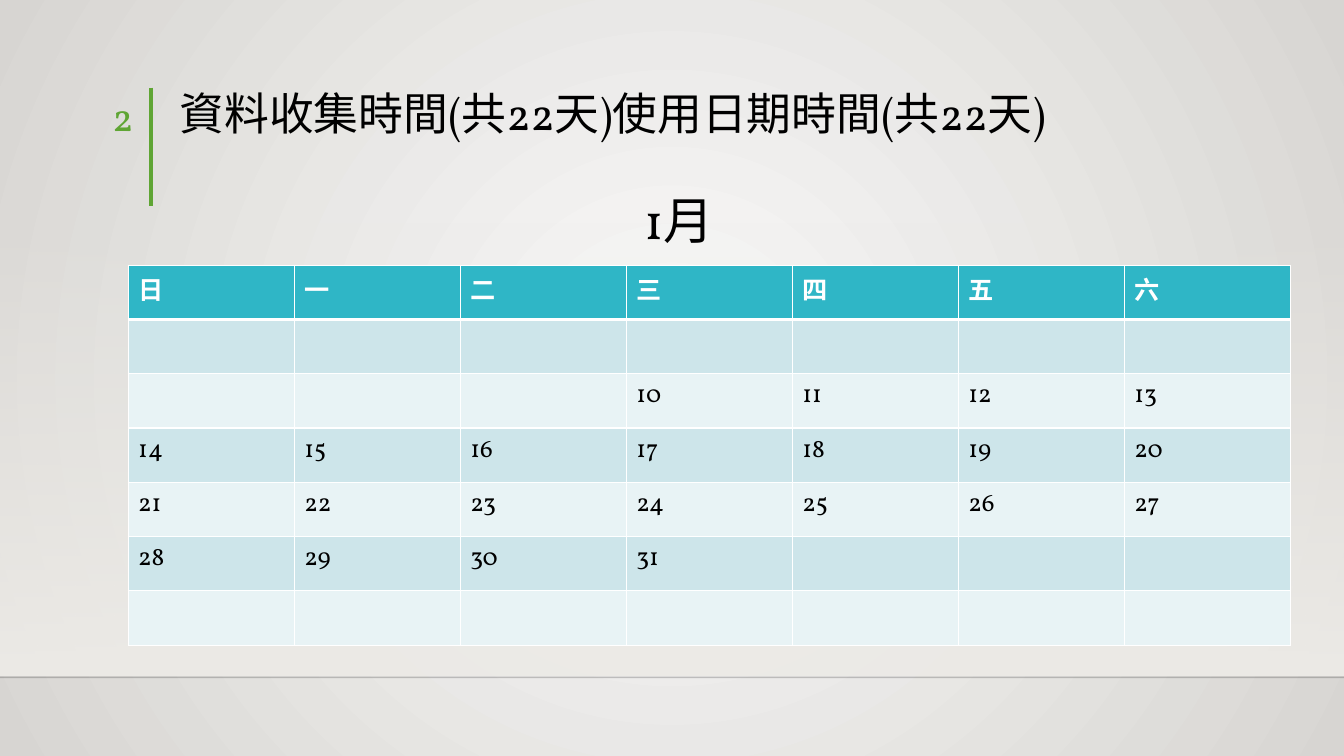
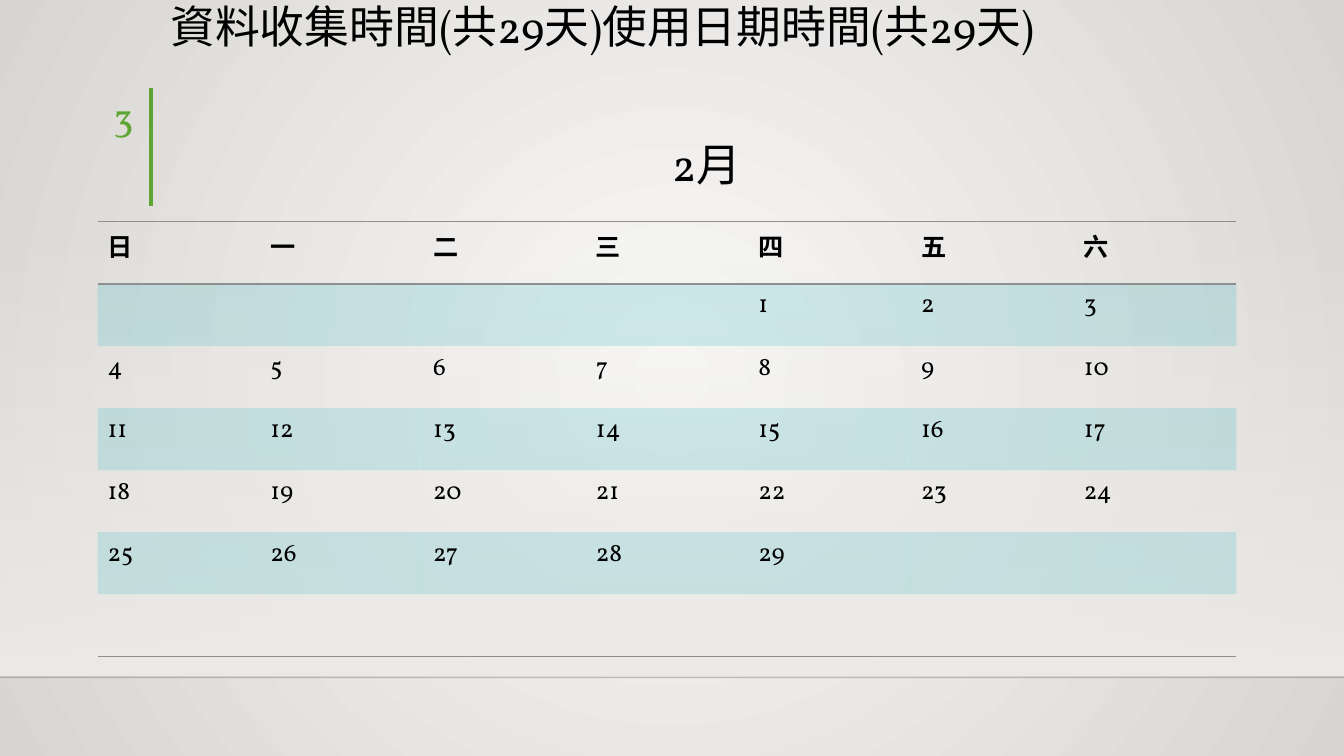
import dataclasses

import pptx
import pptx.dml.color
import pptx.enum.shapes
import pptx.enum.text
import pptx.oxml
import pptx.oxml.ns
import pptx.util

ALIGN = pptx.enum.text.PP_ALIGN
DAYS = "日一二三四五六"
ROWS = 7
BARE = "{2D5ABB26-0587-4C30-8999-92F81FD0307C}"


@dataclasses.dataclass(frozen=True)
class Theme:
    font: str = "Vollkorn"
    ink: str = "000000"
    white: str = "FFFFFF"
    green: str = "5FA534"
    teal: str = "2FB6C6"
    pale: str = "CDE5EA"
    faint: str = "E8F3F5"
    grey: str = "8F8F8F"
    glow: str = "FAFAF9"
    rim: str = "D7D5D2"
    sand: str = "EDEBE7"
    rule: str = "000001"
    title: int = 32
    number: int = 28
    body: int = 18


THEME = Theme()


@dataclasses.dataclass(frozen=True)
class Grid:
    box: tuple
    head: str
    bands: tuple
    ink: str
    line: str
    edges: dict
    alpha: int = 100


FULL = Grid((3.23, 6.68, 29.29, 9.58), THEME.teal, (THEME.pale, THEME.faint),
            THEME.white, THEME.white,
            {"head": {"L": 1, "R": 1, "T": 1, "B": 3},
             "first": {"L": 1, "R": 1, "T": 3, "B": 1},
             "mid": {"L": 1, "R": 1, "T": 1, "B": 1},
             "last": {"L": 1, "R": 1, "T": 1, "B": 1}})
OPEN = Grid((2.46, 5.59, 28.7, 10.95), None, (THEME.teal, None),
            THEME.ink, THEME.grey,
            {"head": {"T": 1, "B": 1}, "first": {"T": 1},
             "mid": {}, "last": {"B": 1}}, 20)


def place(*sizes):
    return [pptx.util.Cm(size) for size in sizes]


def tint(hue):
    return pptx.dml.color.RGBColor.from_string(hue)


def tag(name, inner="", **attrs):
    pairs = "".join(f' {key}="{value}"' for key, value in attrs.items())
    return f'<a:{name} {pptx.oxml.ns.nsdecls("a")}{pairs}>{inner}</a:{name}>'


def paint(hue, alpha=100):
    inner = "" if alpha == 100 else tag("alpha", val=alpha * 1000)
    return tag("srgbClr", inner, val=hue)


def fade(holder, stops, shade):
    inner = "".join(tag("gs", paint(hue, alpha), pos=spot * 1000)
                    for spot, hue, alpha in stops)
    node = pptx.oxml.parse_xml(
        tag("gradFill", tag("gsLst", inner) + shade, rotWithShape=1))
    holder.replace(holder.find(pptx.oxml.ns.qn("a:solidFill")), node)


def thin(holder, alpha):
    for hue in holder.iter(pptx.oxml.ns.qn("a:srgbClr")):
        hue.append(pptx.oxml.parse_xml(tag("alpha", val=alpha * 1000)))


def write(frame, text, size=THEME.body, hue=THEME.ink, bold=False,
          align=ALIGN.LEFT, space=None):
    para = frame.paragraphs[0]
    para.alignment = align
    para.line_spacing = space
    run = para.add_run()
    run.text = text
    run.font.name = THEME.font
    run.font.size = pptx.util.Pt(size)
    run.font.bold = bold
    run.font.color.rgb = tint(hue)


def label(slide, text, box, **style):
    frame = slide.shapes.add_textbox(*place(*box)).text_frame
    frame.word_wrap = True
    write(frame, text, **style)


def head(slide, text, left, top):
    title = slide.shapes.title
    title.left, title.top, title.width, title.height = place(
        left, top, 26.44, 2.92)
    frame = title.text_frame
    frame.auto_size = pptx.enum.text.MSO_AUTO_SIZE.NONE
    frame.vertical_anchor = pptx.enum.text.MSO_ANCHOR.TOP
    frame.margin_top = pptx.util.Cm(0.08)
    write(frame, text, size=THEME.title, space=0.9)


def stroke(slide, ends, hue, width, alpha=100):
    line = slide.shapes.add_connector(
        pptx.enum.shapes.MSO_CONNECTOR.STRAIGHT, *place(*ends))
    line.line.color.rgb = tint(hue)
    line.line.width = pptx.util.Pt(width)
    props = line.element.spPr
    if alpha < 100:
        thin(props, alpha)
    props.append(pptx.oxml.parse_xml(tag("effectLst")))
    return line


def floor(slide):
    band = slide.shapes.add_shape(pptx.enum.shapes.MSO_SHAPE.RECTANGLE,
                                  *place(0, 5.59, 33.87, 11.43))
    band.shadow.inherit = False
    band.line.fill.background()
    band.fill.solid()
    fade(band.element.spPr, [(0, THEME.sand, 0), (100, THEME.sand, 100)],
         tag("lin", ang=5400000, scaled=0))
    return band


def dress(layout, slide):
    layout.background.fill.solid()
    ground = layout.element.find(".//" + pptx.oxml.ns.qn("p:bgPr"))
    rect = tag("fillToRect", l=50000, t=50000, r=50000, b=50000)
    fade(ground, [(0, THEME.glow, 100), (100, THEME.rim, 100)],
         tag("path", rect, path="circle"))
    parts = [floor(slide),
             stroke(slide, (0, 17.07, 33.87, 17.07), THEME.rule, 1, 20),
             stroke(slide, (3.81, 2.21, 3.81, 5.18), THEME.green, 3)]
    for part in parts:
        layout.shapes.element.append(part.element)


def border(cell, edges, hue):
    props = cell._tc.get_or_add_tcPr()
    for side in "LRTB":
        width = edges.get(side, 0)
        inner = tag("solidFill", paint(hue)) if width else tag("noFill")
        props.append(pptx.oxml.parse_xml(
            tag("ln" + side, inner, w=pptx.util.Pt(width))))


def coat(cell, hue, alpha):
    if hue is None:
        cell.fill.background()
        return
    cell.fill.solid()
    cell.fill.fore_color.rgb = tint(hue)
    if alpha < 100:
        thin(cell._tc.tcPr.find(pptx.oxml.ns.qn("a:solidFill")), alpha)


def month(slide, grid, dates, start):
    count = len(DAYS)
    table = slide.shapes.add_table(ROWS, count, *place(*grid.box)).table
    table.first_row = table.horz_banding = False
    table._tbl.tblPr.find(pptx.oxml.ns.qn("a:tableStyleId")).text = BARE
    slots = {start + step: str(date) for step, date in enumerate(dates)}
    kinds = ["head", "first"] + ["mid"] * (ROWS - 3) + ["last"]
    for row, kind in enumerate(kinds):
        top = row == 0
        for col, day in enumerate(DAYS):
            cell = table.cell(row, col)
            border(cell, grid.edges[kind], grid.line)
            coat(cell, grid.head if top else grid.bands[(row - 1) % 2],
                 grid.alpha)
            text = day if top else slots.get((row - 1) * count + col)
            if text:
                write(cell.text_frame, text, bold=top,
                      hue=grid.ink if top else THEME.ink)


def main():
    deck = pptx.Presentation()
    deck.slide_width, deck.slide_height = place(33.87, 19.05)
    layout = deck.slide_layouts[5]
    first, second = [deck.slides.add_slide(layout) for _ in range(2)]
    dress(layout, first)

    head(first, "資料收集時間(共22天)使用日期時間(共22天)", 4.27, 2.24)
    label(first, "1月", (6.17, 4.65, 21.89, 1.8), size=36, align=ALIGN.CENTER)
    month(first, FULL, range(10, 32), 10)

    head(second, "資料收集時間(共29天)使用日期時間(共29天)", 4.04, 0.03)
    label(second, "2月", (4.45, 3.33, 26.72, 1.63), size=THEME.title,
          align=ALIGN.CENTER)
    month(second, OPEN, range(1, 30), 4)

    for number, slide in enumerate(deck.slides, 2):
        label(slide, str(number), (1.35, 2.21, 2.26, 1.4), size=THEME.number,
              hue=THEME.green, align=ALIGN.RIGHT)
    deck.save("out.pptx")


if __name__ == "__main__":
    main()
